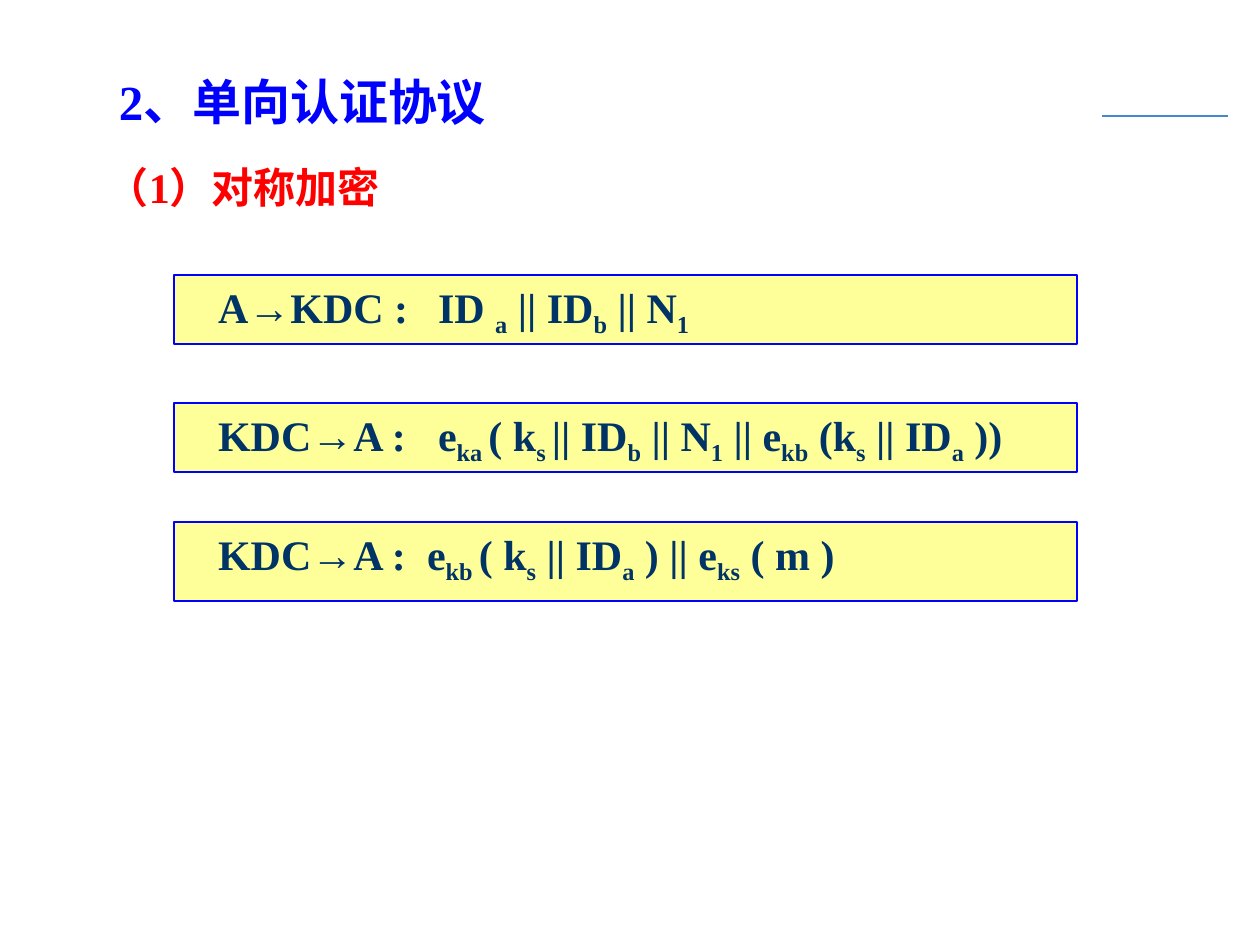
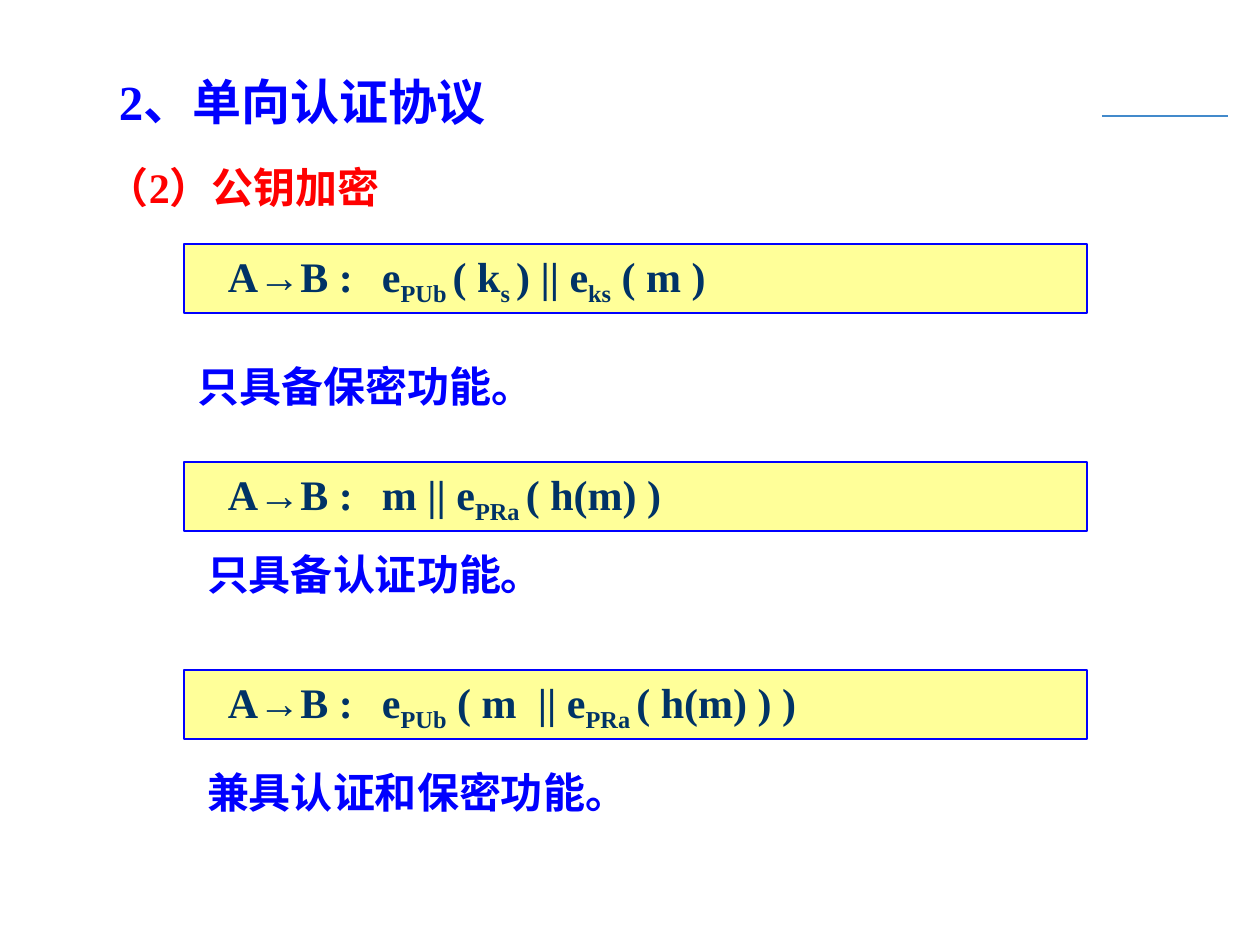
from dataclasses import dataclass

from lxml.etree import SubElement
from pptx import Presentation
from pptx.dml.color import RGBColor as Rgb
from pptx.enum.shapes import MSO_CONNECTOR as Connector, MSO_SHAPE as Shape
from pptx.enum.text import MSO_ANCHOR as Anchor, PP_ALIGN as Align
from pptx.oxml.ns import qn
from pptx.util import Emu, Pt

PX_PER_INCH = 126
INSET_X, INSET_Y = 13, 6
FORMULA_INDENT = 31
NOTE_INDENT = 10


@dataclass(frozen=True)
class Theme:
    font: str = "Times New Roman"
    ink: str = "003366"
    blue: str = "0000FF"
    red: str = "FF0000"
    panel: str = "FFFF99"
    rule: str = "438ACB"
    title_size: int = 28
    body_size: int = 24
    line_width: float = 0.75


THEME = Theme()


def px(length):
    return Emu(round(length * 914400 / PX_PER_INCH))


def write(shape, parts, *, color, size=THEME.body_size, indent=0, tabs=()):
    frame = shape.text_frame
    frame.word_wrap = True
    frame.vertical_anchor = Anchor.TOP
    frame.margin_left, frame.margin_right = px(INSET_X + indent), px(INSET_X)
    frame.margin_top = frame.margin_bottom = px(INSET_Y)
    paragraph = frame.paragraphs[0]
    paragraph.alignment = Align.LEFT
    if tabs:
        stops = SubElement(paragraph._p.get_or_add_pPr(), qn("a:tabLst"))
        for stop in tabs:
            SubElement(stops, qn("a:tab"), pos=str(px(stop)), algn="l")
    for position, part in enumerate(parts):
        run = paragraph.add_run()
        run.text = part
        run.font.name = THEME.font
        run.font.size = Pt(size)
        run.font.bold = True
        run.font.color.rgb = Rgb.from_string(color)
        if position % 2:
            run._r.get_or_add_rPr().set("baseline", "-25000")


def add_label(slide, text, left, top, width, height, **text_format):
    label = slide.shapes.add_textbox(px(left), px(top), px(width), px(height))
    write(label, [text], **text_format)


def add_note(slide, text, left, top):
    add_label(slide, text, left, top, 903, 79, color=THEME.blue, indent=NOTE_INDENT)


def add_formula(slide, parts, left, top, tabs, height=69):
    panel = slide.shapes.add_shape(Shape.RECTANGLE, px(left), px(top), px(903), px(height))
    panel.shadow.inherit = False
    panel.fill.solid()
    panel.fill.fore_color.rgb = Rgb.from_string(THEME.panel)
    panel.line.color.rgb = Rgb.from_string(THEME.blue)
    panel.line.width = Pt(THEME.line_width)
    write(panel, parts, color=THEME.ink, indent=FORMULA_INDENT, tabs=tabs)


def add_rule(slide):
    rule = slide.shapes.add_connector(Connector.STRAIGHT, px(1102), px(116), px(1228), px(116))
    rule.line.color.rgb = Rgb.from_string(THEME.rule)
    rule.line.width = Pt(THEME.line_width)
    SubElement(rule._element.spPr, qn("a:effectLst"))


def add_protocol_slide(deck, method):
    slide = deck.slides.add_slide(deck.slide_layouts[6])
    add_rule(slide)
    add_label(slide, "2、单向认证协议", 64, 66, 942, 69,
              color=THEME.blue, size=THEME.title_size, indent=42)
    add_label(slide, method, 94, 155, 973, 79, color=THEME.red)
    return slide


def add_symmetric_slide(deck):
    slide = add_protocol_slide(deck, "（1）对称加密")
    left = 174
    add_formula(slide, ["A→KDC :\tID ", "a", " || ID", "b", " || N", "1"], left, 275, (220,))
    add_formula(slide, ["KDC→A :\te", "ka ", "( k", "s ", "|| ID", "b", " || N", "1", " || e",
                        "kb", " (k", "s", " || ID", "a", " ))"], left, 403, (220,))
    add_formula(slide, ["KDC→A :\te", "kb ", "( k", "s", " || ID", "a", " ) || e", "ks", " ( m )"],
                left, 522, (209,), height=79)


def add_public_key_slide(deck):
    slide = add_protocol_slide(deck, "（2）公钥加密")
    left = 184
    add_formula(slide, ["A→B :\te", "PUb ", "( k", "s ", ") || e", "ks", " ( m )"],
                left, 244, (154,))
    add_formula(slide, ["A→B :\tm || e", "PRa ", "( h(m) )"], left, 462, (154,))
    add_formula(slide, ["A→B :\te", "PUb", " ( m\t|| e", "PRa ", "( h(m) ) )"],
                left, 670, (154, 310))
    add_note(slide, "只具备保密功能。", 174, 354)
    add_note(slide, "只具备认证功能。", left, 542)
    add_note(slide, "兼具认证和保密功能。", left, 760)


def main():
    deck = Presentation()
    deck.slide_width, deck.slide_height = px(1260), px(945)
    add_symmetric_slide(deck)
    add_public_key_slide(deck)
    deck.save("out.pptx")


if __name__ == "__main__":
    main()
